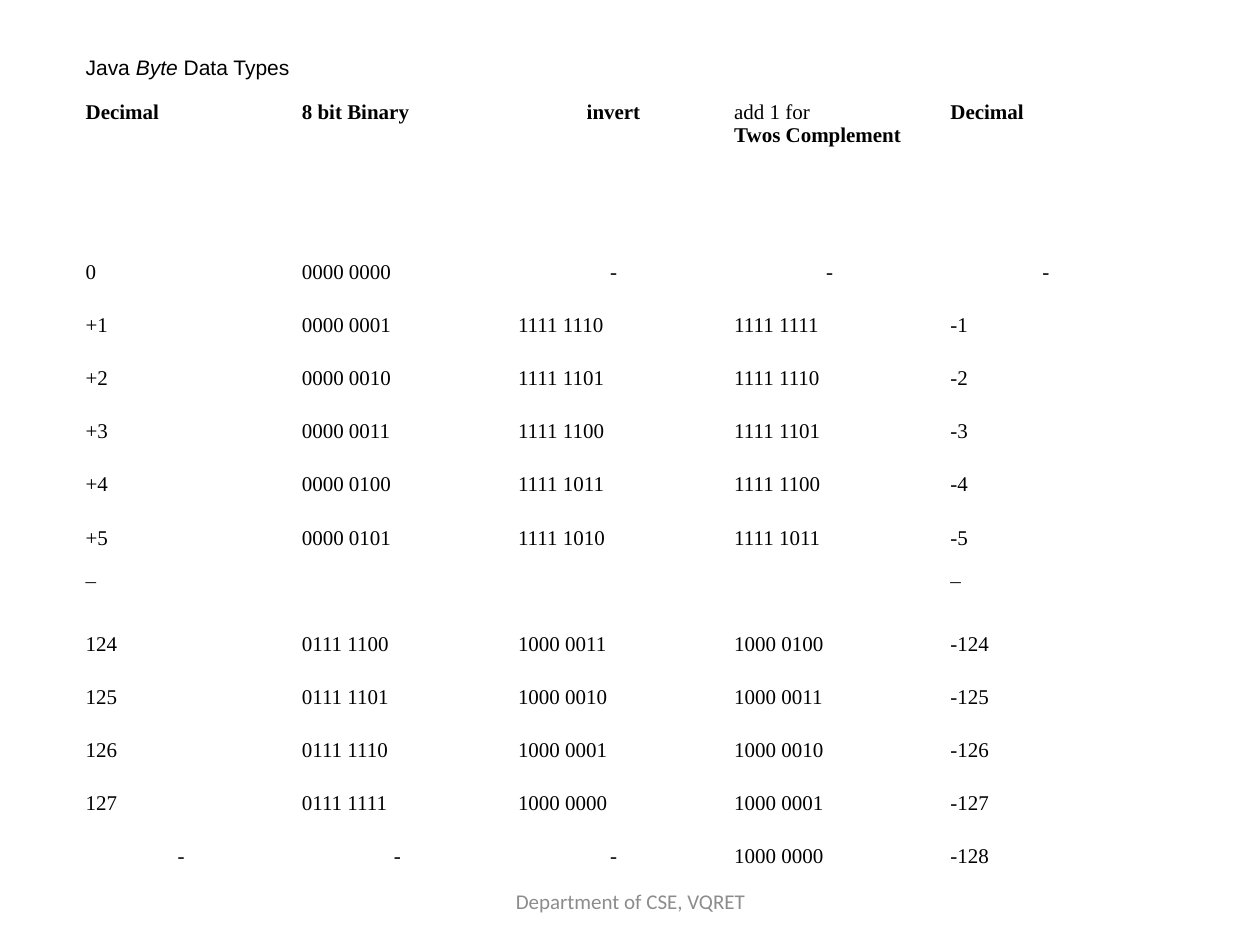
from pptx import Presentation
from pptx.dml.color import RGBColor
from pptx.enum.text import MSO_ANCHOR as Anchor, PP_ALIGN as Align
from pptx.util import Inches, Pt

COLORS = {"paper": "FFFFFF", "ink": "000000", "footer": "8C8C8C"}
SERIF = "Times New Roman"
COLUMNS = 5
CELL_INSET = 0.05
HEADER_HEIGHT = 1.27


def write(frame, *runs, font=SERIF, color="ink", align=Align.LEFT, inset=CELL_INSET):
    frame.word_wrap = True
    frame.margin_left = frame.margin_right = Inches(inset)
    frame.margin_top = frame.margin_bottom = Inches(CELL_INSET)
    line = frame.paragraphs[0]
    line.alignment = align
    for text, style in runs:
        if text == "\n":
            line.add_line_break()
            continue
        run = line.add_run()
        run.text = text
        run.font.name = font
        run.font.size = Pt(12)
        run.font.color.rgb = RGBColor.from_string(COLORS[color])
        run.font.bold = style == "bold"
        run.font.italic = style == "italic"


def bits(number):
    digits = format(number & 255, "08b")
    return f"{digits[:4]} {digits[4:]}"


def complement_row(number):
    return [f"+{number}" if number < 100 else str(number),
            bits(number), bits(~number), bits(-number), str(-number)]


def byte_rows():
    return [
        ["0", bits(0), "-", "-", "-"],
        *map(complement_row, range(1, 6)),
        ["¯", "", "", "", "¯"],
        *map(complement_row, range(124, 128)),
        ["-", "-", "-", bits(-128), "-128"],
    ]


def byte_table(slide, left, top, width, height):
    values = byte_rows()
    row_count = len(values) + 2
    table = slide.shapes.add_table(
        row_count, COLUMNS, Inches(left), Inches(top), Inches(width), Inches(height)).table
    table.first_row = table.horz_banding = False
    for column in table.columns:
        column.width = Inches(width / COLUMNS)
    for index, row in enumerate(table.rows):
        row.height = Inches(HEADER_HEIGHT if index == 1
                            else (height - HEADER_HEIGHT) / (row_count - 1))
    for cell in table.iter_cells():
        cell.fill.solid()
        cell.fill.fore_color.rgb = RGBColor.from_string(COLORS["paper"])

    title = table.cell(0, 0)
    title.merge(table.cell(0, COLUMNS - 1))
    title.vertical_anchor = Anchor.MIDDLE
    write(title.text_frame, ("Java\u00a0", ""), ("Byte", "italic"),
          ("\u00a0Data Types", ""), font="Arial")

    headings = [
        [("Decimal", "bold")],
        [("8 bit Binary", "bold")],
        [("invert", "bold")],
        [("add 1 for", ""), ("\n", ""), ("Twos Complement", "bold")],
        [("Decimal", "bold")],
    ]
    for index, runs in enumerate(headings):
        write(table.cell(1, index).text_frame, *runs,
              align=Align.CENTER if index == 2 else Align.LEFT)

    for row, entries in enumerate(values, start=2):
        for column, entry in enumerate(entries):
            if entry:
                write(table.cell(row, column).text_frame, (entry, ""),
                      align=Align.CENTER if entry == "-" else Align.LEFT)


def footer(slide, left, top, width, height):
    box = slide.shapes.add_textbox(Inches(left), Inches(top), Inches(width), Inches(height))
    box.text_frame.vertical_anchor = Anchor.MIDDLE
    write(box.text_frame, ("Department of CSE, VQRET", ""), font="Calibri",
          color="footer", align=Align.CENTER, inset=0.1)


deck = Presentation()
deck.slide_width, deck.slide_height = Inches(10), Inches(7.5)
page = deck.slides.add_slide(deck.slide_layouts[6])
byte_table(page, 0.58, 0.33, 8.58, 6.75)
footer(page, 3.42, 6.95, 3.17, 0.4)
deck.save("out.pptx")
